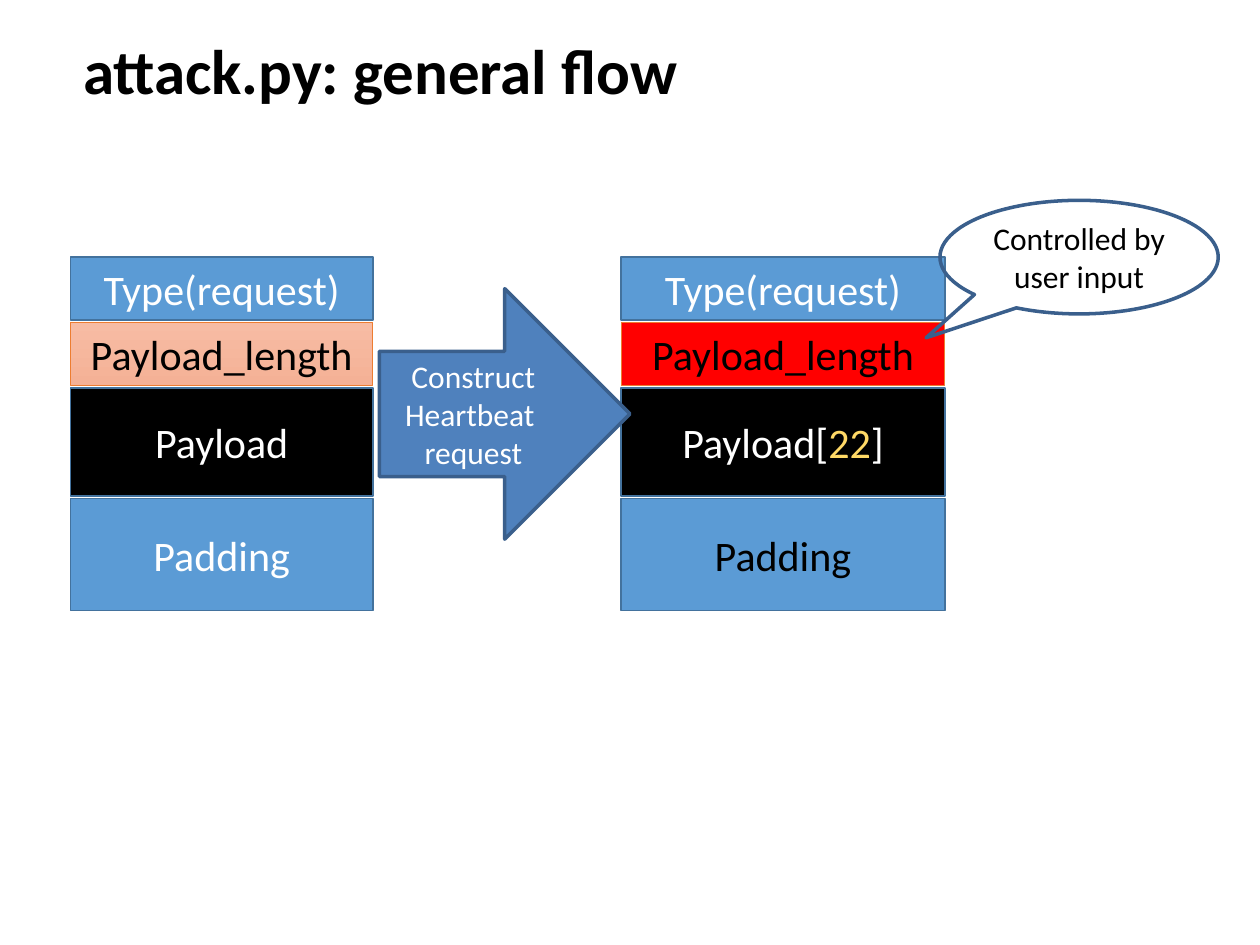
import pptx
import pptx.dml.color
import pptx.enum.shapes
import pptx.enum.text
import pptx.util
from pptx.util import Cm, Pt

FONT = "Calibri"
COLORS = {
    "black": "000000",
    "white": "FFFFFF",
    "yellow": "FFD966",
    "red": "FF0000",
    "field": "5B9BD5",
    "field_line": "43729D",
    "peach_top": "F7BCA4",
    "peach_bottom": "F4B196",
    "orange": "ED7D31",
    "arrow": "4F81BD",
    "arrow_line": "3A5F8C",
}
FIELD_HEIGHTS = (1.27, 1.27, 2.18, 2.26)
FIELD_GAP = 0.05
PEACH = ("peach_top", "peach_bottom")


def rgb(name):
    return pptx.dml.color.RGBColor.from_string(COLORS[name])


def add_run(paragraph, text, size, color, bold=False):
    run = paragraph.add_run()
    run.text = text
    run.font.name = FONT
    run.font.size = Pt(size)
    run.font.bold = bold
    run.font.color.rgb = rgb(color)


def paint(shape, fill):
    """Fill with one colour, a top and bottom pair, or nothing."""
    if fill is None:
        shape.fill.background()
    elif isinstance(fill, tuple):
        shape.fill.gradient()
        shape.fill.gradient_angle = 270
        for stop, color, position in zip(shape.fill.gradient_stops, fill, (0, 1)):
            stop.color.rgb = rgb(color)
            stop.position = position
    else:
        shape.fill.solid()
        shape.fill.fore_color.rgb = rgb(fill)


def add_block(slide, kind, box, fill, line, line_width, paragraphs, size):
    """Draw a shape with centred text; each paragraph is a list of (text, colour)."""
    block = slide.shapes.add_shape(kind, *(Cm(length) for length in box))
    block.shadow.inherit = False
    paint(block, fill)
    block.line.color.rgb = rgb(line)
    block.line.width = Pt(line_width)
    frame = block.text_frame
    frame.word_wrap = True
    frame.vertical_anchor = pptx.enum.text.MSO_ANCHOR.MIDDLE
    for index, runs in enumerate(paragraphs):
        paragraph = frame.add_paragraph() if index else frame.paragraphs[0]
        paragraph.alignment = pptx.enum.text.PP_ALIGN.CENTER
        for text, color in runs:
            add_run(paragraph, text, size, color)
    return block


def add_title(slide, left, top, width, height):
    title = slide.shapes.title
    title.left, title.top = Cm(left), Cm(top)
    title.width, title.height = Cm(width), Cm(height)
    frame = title.text_frame
    frame.auto_size = pptx.enum.text.MSO_AUTO_SIZE.NONE
    frame.vertical_anchor = pptx.enum.text.MSO_ANCHOR.BOTTOM
    paragraph = frame.paragraphs[0]
    paragraph.alignment = pptx.enum.text.PP_ALIGN.LEFT
    paragraph.line_spacing = 0.9
    add_run(paragraph, "attack.py: general flow", 36, "black", bold=True)


def add_packet(slide, left, top, width, length_fill, payload, padding_color):
    """Stack the four fields of a heartbeat message."""
    fields = (
        ("field", "field_line", 1, [("Type(request)", "white")]),
        (length_fill, "orange", 0.5, [("Payload_length", "black")]),
        ("black", "field_line", 1, payload),
        ("field", "field_line", 1, [("Padding", padding_color)]),
    )
    for height, (fill, line, line_width, runs) in zip(FIELD_HEIGHTS, fields):
        add_block(slide, pptx.enum.shapes.MSO_SHAPE.RECTANGLE,
                  (left, top, width, height), fill, line, line_width, [runs], 24)
        top += height + FIELD_GAP


def add_request_arrow(slide, left, top, width, height):
    lines = ("Construct", "Heartbeat ", "request")
    add_block(slide, pptx.enum.shapes.MSO_SHAPE.RIGHT_ARROW,
              (left, top, width, height), "arrow", "arrow_line", 2,
              [[(line, "white")] for line in lines], 18)


def add_input_callout(slide, left, top, width, height):
    callout = add_block(slide, pptx.enum.shapes.MSO_SHAPE.OVAL_CALLOUT,
                        (left, top, width, height), None, "arrow_line", 2,
                        [[("Controlled by user input", "black")]], 18)
    callout.adjustments[0] = -0.55
    callout.adjustments[1] = 0.71


def main():
    deck = pptx.Presentation()
    deck.slide_width, deck.slide_height = Cm(25.4), Cm(19.05)
    slide = deck.slides.add_slide(deck.slide_layouts[5])
    add_title(slide, 1.42, 0.53, 20.35, 1.78)
    add_packet(slide, 1.42, 5.18, 6.1, PEACH, [("Payload", "white")], "white")
    add_packet(slide, 12.52, 5.18, 6.53, "red",
               [("Payload[", "white"), ("22", "yellow"), ("]", "white")], "black")
    add_request_arrow(slide, 7.65, 5.82, 5.05, 5.05)
    add_input_callout(slide, 18.95, 4.04, 5.61, 2.29)
    deck.save("out.pptx")


if __name__ == "__main__":
    main()
